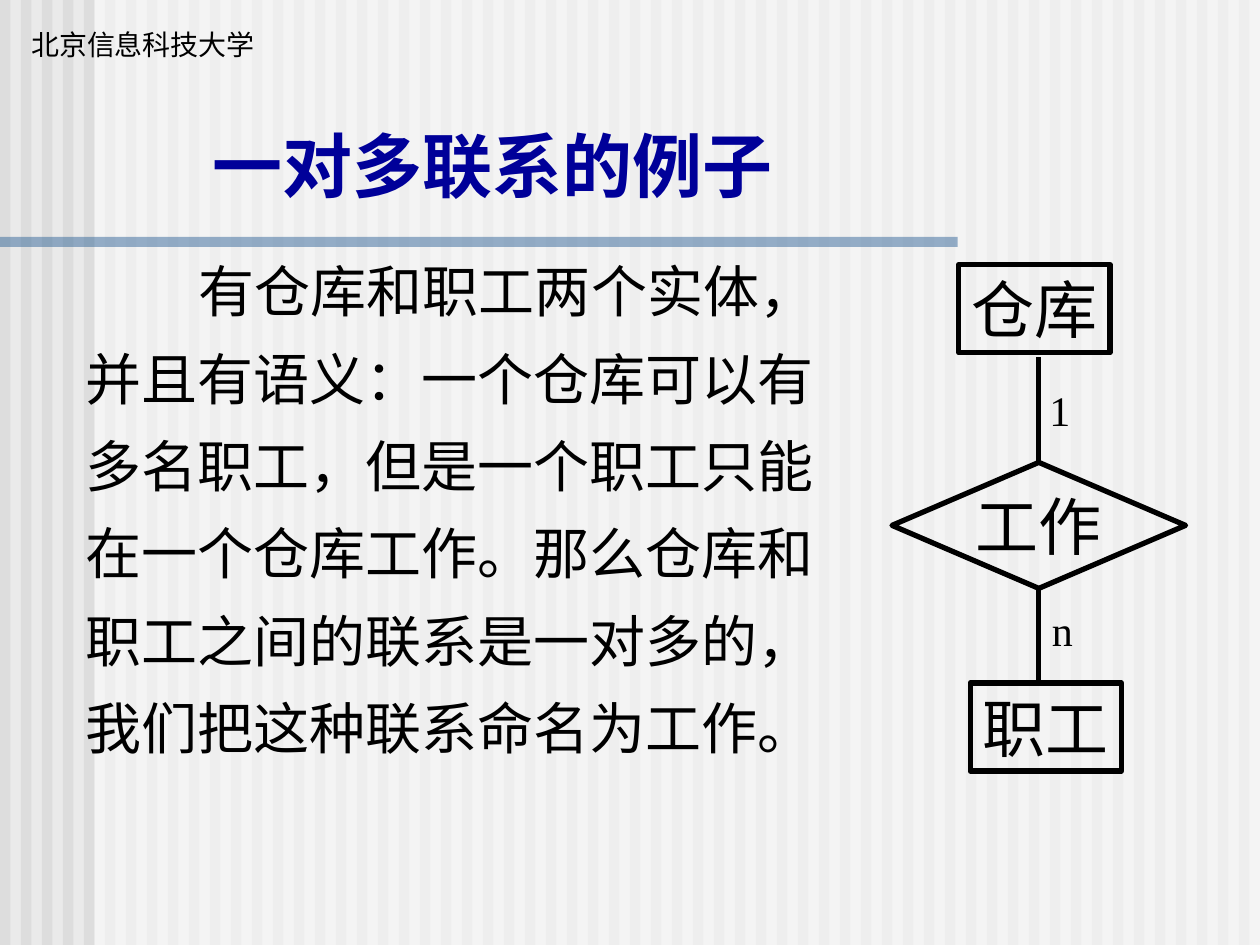
from lxml import etree
from pptx import Presentation
from pptx.dml.color import RGBColor
from pptx.enum.shapes import MSO_CONNECTOR, MSO_SHAPE
from pptx.enum.text import MSO_ANCHOR, PP_ALIGN
from pptx.oxml.ns import qn
from pptx.util import Inches, Pt

RECTANGLE = MSO_SHAPE.RECTANGLE
DIAMOND = MSO_SHAPE.FLOWCHART_DECISION
STRAIGHT = MSO_CONNECTOR.STRAIGHT
TOP, MIDDLE = MSO_ANCHOR.TOP, MSO_ANCHOR.MIDDLE
LEFT, CENTER = PP_ALIGN.LEFT, PP_ALIGN.CENTER
DIAMOND_TOP, DIAMOND_BOTTOM = 0, 2

BLACK = RGBColor(0, 0, 0)
WHITE = RGBColor(0xFF, 0xFF, 0xFF)
NAVY = RGBColor(0, 0, 0x99)
STEEL_BLUE = RGBColor(0x33, 0x66, 0x99)
PALE_GRAY = RGBColor(0xEA, 0xEA, 0xEA)
STRIPE_GRAY = RGBColor(0xDD, 0xDD, 0xDD)

SERIF, SANS = "Times New Roman", "DejaVu Sans"
SLIDE_WIDTH, SLIDE_HEIGHT = 10, 7.5
STRIPE_COUNT = 60
LINE_WIDTH = Pt(3)


def to_inches(box):
    return [Inches(length) for length in box]


def add_bar(slide, box, color, alpha=None):
    """Add a borderless rectangle; alpha is its opacity in percent."""
    bar = slide.shapes.add_shape(RECTANGLE, *to_inches(box))
    bar.shadow.inherit = False
    bar.line.fill.background()
    bar.fill.solid()
    bar.fill.fore_color.rgb = color
    if alpha is not None:
        color_element = next(bar.fill._xPr.iter(qn("a:srgbClr")))
        etree.SubElement(color_element, qn("a:alpha"), val=str(alpha * 1000))


def write_text(shape, text, size, wrap=False, anchor=TOP, align=LEFT, **font_format):
    frame = shape.text_frame
    frame.word_wrap = wrap
    frame.vertical_anchor = anchor
    margins = {"margin_left": 0.1, "margin_right": 0.1,
               "margin_top": 0.05, "margin_bottom": 0.05}
    for name, value in margins.items():
        setattr(frame, name, Inches(value))
    paragraph = frame.paragraphs[0]
    paragraph.alignment = align
    run = paragraph.add_run()
    run.text = text
    run.font.color.rgb = font_format.pop("color", BLACK)
    for name, value in {"name": SERIF, "size": Pt(size), **font_format}.items():
        setattr(run.font, name, value)
    return paragraph


def add_text(slide, box, text, size, **text_format):
    text_box = slide.shapes.add_textbox(*to_inches(box))
    return write_text(text_box, text, size, **text_format)


def add_node(slide, kind, box, text, **text_format):
    node = slide.shapes.add_shape(kind, *to_inches(box))
    node.shadow.inherit = False
    node.fill.background()
    node.line.color.rgb = BLACK
    node.line.width = LINE_WIDTH
    write_text(node, text, 36, **text_format)
    return node


def add_link(slide, diamond, site, end_x, end_y):
    """Draw a line from a corner of the diamond to a point."""
    end = Inches(end_x), Inches(end_y)
    link = slide.shapes.add_connector(STRAIGHT, *end, *end)
    link.begin_connect(diamond, site)
    link.line.color.rgb = BLACK
    link.line.width = LINE_WIDTH
    etree.SubElement(link._element.spPr, qn("a:effectLst"))


def add_background(slide, left, top, width, height):
    slide.background.fill.solid()
    slide.background.fill.fore_color.rgb = PALE_GRAY
    pitch = width / STRIPE_COUNT
    for index in range(STRIPE_COUNT):
        add_bar(slide, (left + index * pitch, top, pitch / 2, height), STRIPE_GRAY)
    margin = 0.75
    add_bar(slide, (left + margin, top, width - margin, height), WHITE, 50)


def add_heading(slide, left, top, width, height):
    add_text(slide, (left + 0.15, top + 0.17, 1.97, 0.37), "北京信息科技大学", 16, name=SANS)
    add_text(slide, (left + 1.59, top + 0.92, 4.64, 0.77), "一对多联系的例子", 40,
             color=NAVY, bold=True)
    rule_height = 0.08
    add_bar(slide, (left, top + height - rule_height, width, rule_height), STEEL_BLUE, 50)


def add_body(slide, left, top, width, height):
    paragraph = add_text(
        slide, (left, top, width, height),
        "有仓库和职工两个实体，并且有语义：一个仓库可以有多名职工，"
        "但是一个职工只能在一个仓库工作。那么仓库和职工之间的联系是一对多的，"
        "我们把这种联系命名为工作。", 32, wrap=True)
    paragraph.line_spacing = 1.3
    paragraph._p.get_or_add_pPr().set("indent", str(Inches(0.9)))


def add_diagram(slide, left, top, width, height):
    """Draw the two entities, the relationship between them and its labels."""
    node_width, node_height = 1.2, 0.7
    axis = left + width / 2
    employee_top = top + height - node_height
    diamond = add_node(slide, DIAMOND, (left, top + 1.57, width, 1), "工作",
                       anchor=MIDDLE, align=CENTER)
    add_node(slide, RECTANGLE, (left + 0.53, top, node_width, node_height), "仓库")
    add_node(slide, RECTANGLE, (left + 0.62, employee_top, node_width, node_height), "职工")
    add_link(slide, diamond, DIAMOND_BOTTOM, axis, employee_top)
    add_link(slide, diamond, DIAMOND_TOP, axis, top + node_height + 0.03)
    for text, label_left, label_top in (("1", 1.15, 0.9), ("n", 1.17, 2.65)):
        add_text(slide, (left + label_left, top + label_top, 0.36, 0.5), text, 24)


def main():
    presentation = Presentation()
    presentation.slide_width = Inches(SLIDE_WIDTH)
    presentation.slide_height = Inches(SLIDE_HEIGHT)
    slide = presentation.slides.add_slide(presentation.slide_layouts[6])
    add_background(slide, 0, 0, SLIDE_WIDTH, SLIDE_HEIGHT)
    add_heading(slide, 0, 0, 7.6, 1.96)
    add_body(slide, 0.58, 1.83, 6.02, 4.35)
    add_diagram(slide, 7.08, 2.1, 2.33, 4.02)
    presentation.save("out.pptx")


if __name__ == "__main__":
    main()
